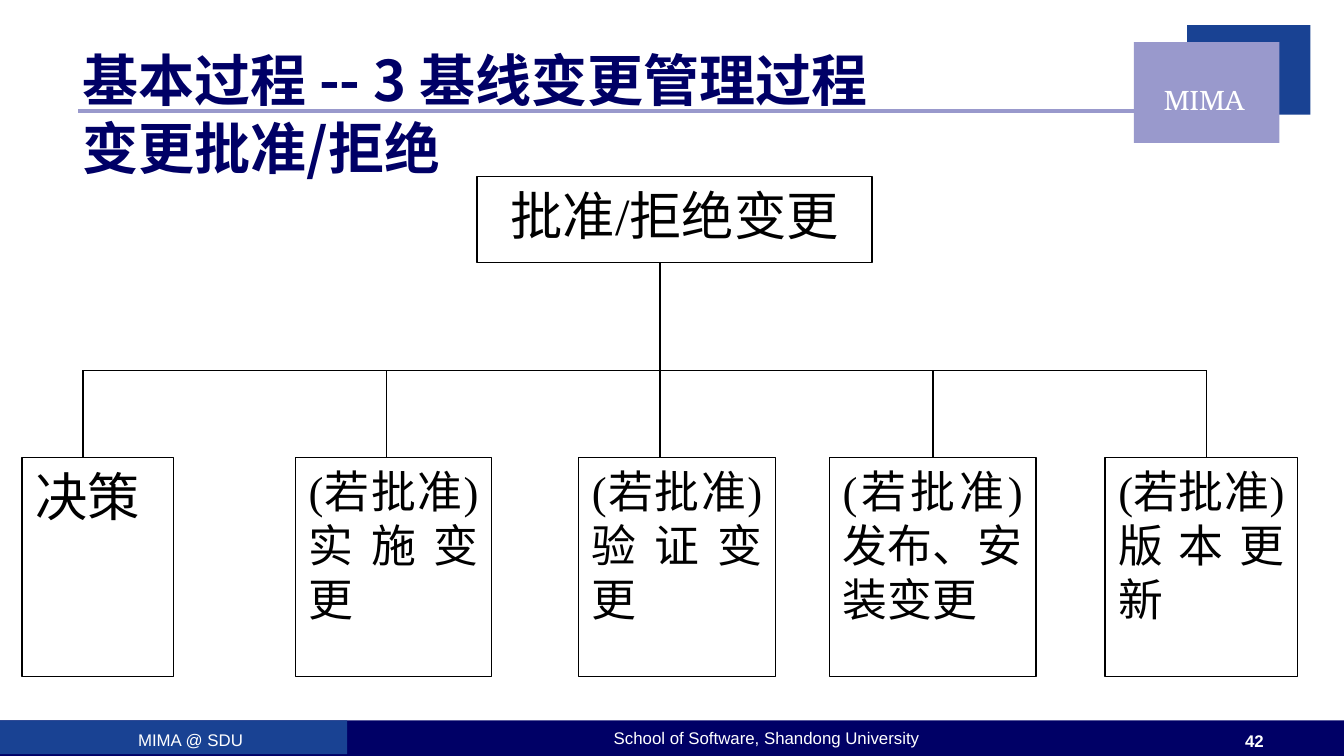
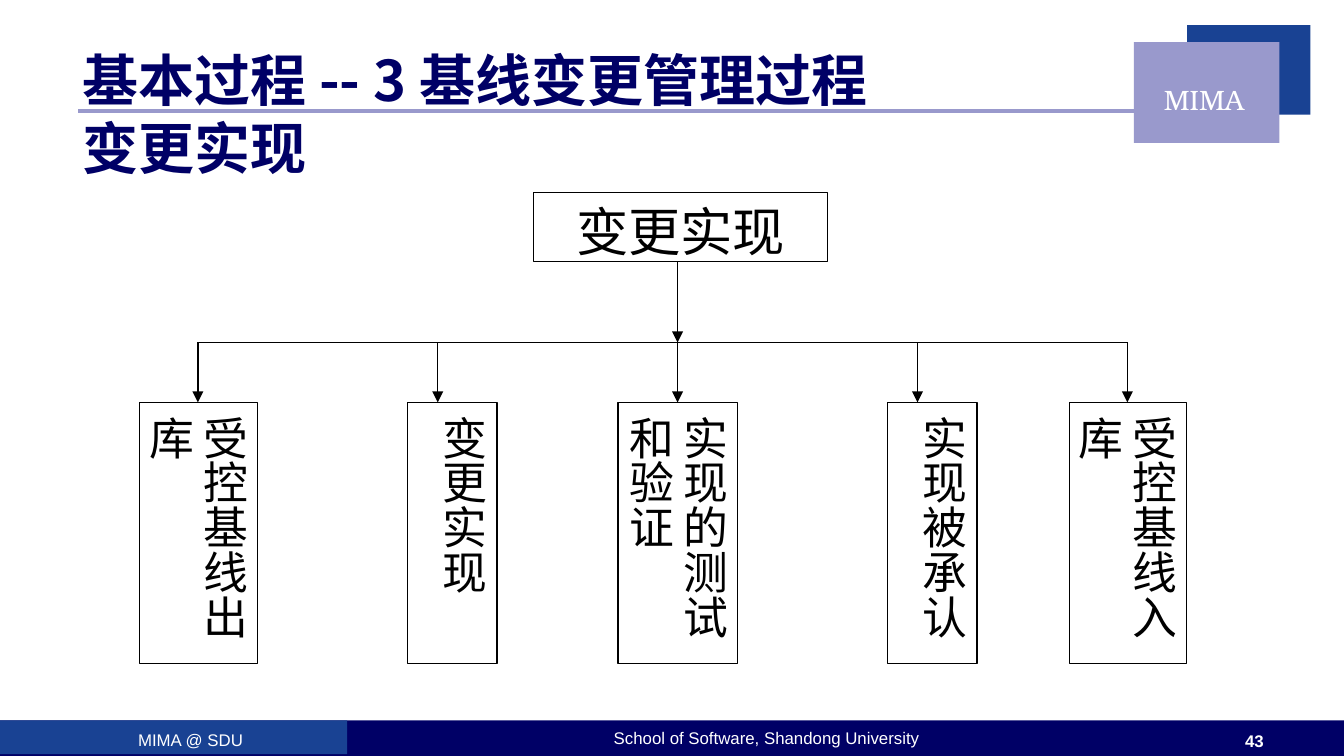
"""Build two slides showing the steps of approving and carrying out a baseline change."""

import dataclasses

import lxml.etree
import pptx
import pptx.dml.color
import pptx.enum.shapes
import pptx.enum.text
import pptx.oxml.ns
import pptx.util

Pt = pptx.util.Pt
Align = pptx.enum.text.PP_ALIGN
qn = pptx.oxml.ns.qn


@dataclasses.dataclass(frozen=True)
class Theme:
    navy: str = "000066"
    blue: str = "194293"
    lilac: str = "9999CC"
    white: str = "FFFFFF"
    black: str = "000000"
    title_font: str = "Noto Sans CJK SC"
    body_font: str = "Times New Roman"
    badge_font: str = "TeX Gyre Bonum"
    footer_font: str = "Arial"
    title_size: float = 30
    lead_size: float = 28
    step_size: float = 24
    badge_size: float = 15
    footer_size: float = 9
    outline: float = 0.75
    rule: float = 2.25


theme = Theme()
rgb = pptx.dml.color.RGBColor.from_string


def write(box, text, font, size, color, align, bold=False):
    frame = box.text_frame
    frame.word_wrap = True
    frame.auto_size = pptx.enum.text.MSO_AUTO_SIZE.NONE
    frame.vertical_anchor = pptx.enum.text.MSO_ANCHOR.TOP
    frame.text = text
    para = frame.paragraphs[0]
    para.alignment = align
    para.font.name = font
    para.font.size = Pt(size)
    para.font.bold = bold
    para.font.color.rgb = rgb(color)
    for properties in box.element.iter(qn("a:pPr")):
        properties.set("hangingPunct", "0")


def draw_line(page, start, end, color, width, arrow=False):
    line = page.shapes.add_connector(
        pptx.enum.shapes.MSO_CONNECTOR.STRAIGHT, *map(Pt, start + end))
    line.line.color.rgb = rgb(color)
    line.line.width = Pt(width)
    properties = line.element.spPr
    if arrow:
        lxml.etree.SubElement(properties.find(qn("a:ln")), qn("a:tailEnd"), type="triangle")
    lxml.etree.SubElement(properties, qn("a:effectLst"))


bands = [
    ((0, 386, 720, 19), theme.navy),
    ((636, 13.5, 66, 48), theme.blue),
    ((607.5, 22.5, 78, 54), theme.lilac),
    ((0, 386, 186, 18), theme.blue),
]

charts = [
    {
        "number": "42",
        "title": "变更批准/拒绝",
        "lead": ("批准/拒绝变更", (255.6, 94.5, 211.6, 46.2)),
        "bar": 198.5,
        "top": 245,
        "height": 117.5,
        "vertical": False,
        "steps": [
            ("决策", 11.8, 81.2, 44.4, theme.lead_size),
            ("(若批准)实施变更", 158.2, 105.2, 207, theme.step_size),
            ("(若批准)验证变更", 310, 105.5, 353.5, theme.step_size),
            ("(若批准)发布、安装变更", 444.4, 110.6, 499.9, theme.step_size),
            ("(若批准)版本更新", 592, 103.2, 646.3, theme.step_size),
        ],
    },
    {
        "number": "43",
        "title": "变更实现",
        "lead": ("变更实现", (286, 103, 157.2, 37.2)),
        "bar": 183.5,
        "top": 215.6,
        "height": 140,
        "vertical": True,
        "steps": [
            ("受控基线出库", 74.7, 63.4, 106, theme.step_size),
            ("变更实现", 218.2, 48.2, 234.5, theme.step_size),
            ("实现的测试和验证", 331, 64.2, 363, theme.step_size),
            ("实现被承认", 475.3, 48.2, 491.5, theme.step_size),
            ("受控基线入库", 573, 62.8, 604, theme.step_size),
        ],
    },
]

deck = pptx.Presentation()
deck.slide_width, deck.slide_height = Pt(720), Pt(405)

for chart in charts:
    page = deck.slides.add_slide(deck.slide_layouts[5])
    draw_line(page, (42, 59.6), (612, 59.6), theme.lilac, theme.rule)
    for place, color in bands:
        band = page.shapes.add_shape(
            pptx.enum.shapes.MSO_SHAPE.RECTANGLE, *map(Pt, place))
        band.shadow.inherit = False
        band.fill.solid()
        band.fill.fore_color.rgb = rgb(color)
        band.line.fill.background()

    labels = [
        ("MIMA", (600, 40.5, 90, 25), theme.badge_font, theme.badge_size, False),
        ("MIMA @ SDU", (18, 387.5, 168, 10), theme.footer_font, theme.footer_size, False),
        ("School of Software, Shandong University", (206.6, 386.5, 408, 15),
         theme.footer_font, theme.footer_size, False),
        (chart["number"], (655, 388, 34, 11), theme.footer_font, theme.footer_size, True),
    ]
    for text, place, font, size, bold in labels:
        label = page.shapes.add_textbox(*map(Pt, place))
        write(label, text, font, size, theme.white, Align.CENTER, bold)

    title = page.shapes.title
    title.left, title.top, title.width, title.height = map(Pt, (37, 21, 582, 39))
    write(title, "基本过程 -- 3 基线变更管理过程\v" + chart["title"],
          theme.title_font, theme.title_size, theme.navy, Align.LEFT, True)
    page.shapes.element.append(title.element)

    lead_text, lead_place = chart["lead"]
    boxes = [(lead_text, lead_place, theme.lead_size, Align.CENTER, False)]
    for text, left, width, stem, size in chart["steps"]:
        place = (left, chart["top"], width, chart["height"])
        boxes.append((text, place, size, Align.JUSTIFY, chart["vertical"]))
    for text, place, size, align, vertical in boxes:
        box = page.shapes.add_shape(
            pptx.enum.shapes.MSO_SHAPE.RECTANGLE, *map(Pt, place))
        box.shadow.inherit = False
        box.fill.solid()
        box.fill.fore_color.rgb = rgb(theme.white)
        box.line.color.rgb = rgb(theme.black)
        box.line.width = Pt(theme.outline)
        write(box, text, theme.body_font, size, theme.black, align)
        if vertical:
            box.element.txBody.find(qn("a:bodyPr")).set("vert", "eaVert")

    stems = [step[3] for step in chart["steps"]]
    bar, trunk = chart["bar"], stems[2]
    lead_bottom = lead_place[1] + lead_place[3]
    draw_line(page, (stems[0], bar), (stems[-1], bar), theme.black, theme.outline)
    drops = [(trunk, lead_bottom, bar)] + [(stem, bar, chart["top"]) for stem in stems]
    for x, start, end in drops:
        draw_line(page, (x, start), (x, end), theme.black, theme.outline, chart["vertical"])

deck.save("out.pptx")
